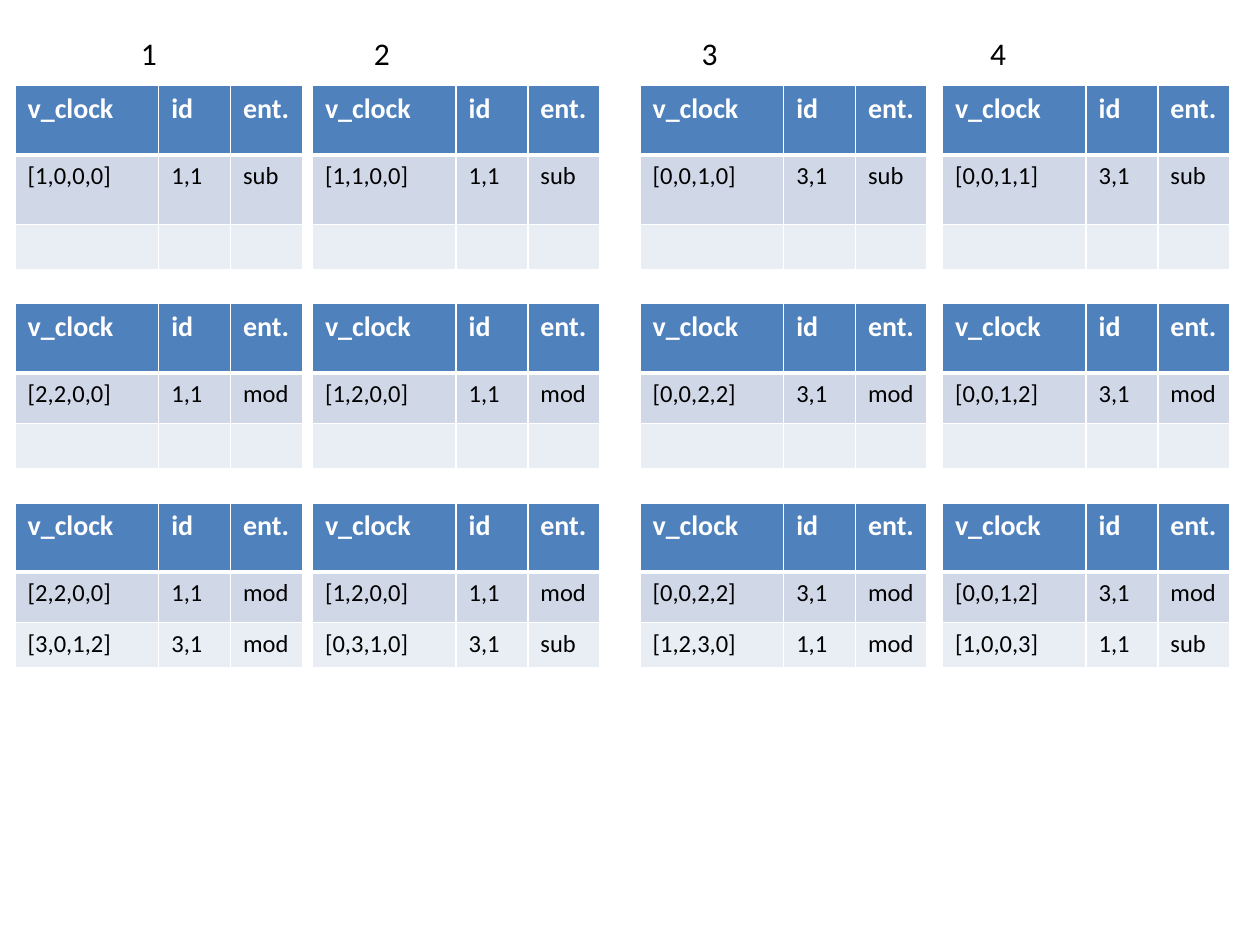
import pptx
import pptx.dml.color
import pptx.util
from lxml import etree
from pptx.oxml.ns import qn

FONT = "Calibri"
WHITE, BLACK = "FFFFFF", "000000"
ROW_FILLS = ["4F81BD", "D0D8E8", "E9EDF4"]
HEADER = ["v_clock", "id", "ent."]
UNIT = 0.57
COL_WIDTHS = [2 * UNIT, UNIT, UNIT]
HEADER_H, LAST_H = 0.55, 0.36

NODE_LEFTS = [0.12, 2.48, 5.08, 7.48]
LABEL_OFFSETS = [0.9, 0.39, 0.39, 0.28]

# Each stage: top, height of its first data row, then the data rows of nodes 1 to 4.
STAGES = [
    (0.68, 0.55, [["[1,0,0,0] 1,1 sub"], ["[1,1,0,0] 1,1 sub"],
                  ["[0,0,1,0] 3,1 sub"], ["[0,0,1,1] 3,1 sub"]]),
    (2.41, 0.4, [["[2,2,0,0] 1,1 mod"], ["[1,2,0,0] 1,1 mod"],
                 ["[0,0,2,2] 3,1 mod"], ["[0,0,1,2] 3,1 mod"]]),
    (3.99, 0.4, [["[2,2,0,0] 1,1 mod", "[3,0,1,2] 3,1 mod"],
                 ["[1,2,0,0] 1,1 mod", "[0,3,1,0] 3,1 sub"],
                 ["[0,0,2,2] 3,1 mod", "[1,2,3,0] 1,1 mod"],
                 ["[0,0,1,2] 3,1 mod", "[1,0,0,3] 1,1 sub"]]),
]


def inches(*values):
    """Convert several lengths in inches."""
    return [pptx.util.Inches(v) for v in values]


def color(value):
    """Turn a hex string into a colour."""
    return pptx.dml.color.RGBColor.from_string(value)


def write(tf, text, size=14, fill=BLACK, bold=False):
    """Write one formatted line; an empty line keeps only its size."""
    p = tf.paragraphs[0]
    if not text:
        end = etree.SubElement(p._p, qn("a:endParaRPr"))
        end.set("sz", str(size * 100))
        return
    r = p.add_run()
    r.text = text
    r.font.name = FONT
    r.font.size = pptx.util.Pt(size)
    r.font.bold = bold
    r.font.color.rgb = color(fill)


def set_borders(cell, top=1, bottom=1):
    """Give a cell white borders with the given widths in points."""
    tc_pr = cell._tc.get_or_add_tcPr()
    widths = {"lnL": 1, "lnR": 1, "lnT": top, "lnB": bottom}
    for i, (tag, width) in enumerate(widths.items()):
        ln = etree.Element(qn("a:" + tag), w=str(pptx.util.Pt(width)))
        fill = etree.SubElement(ln, qn("a:solidFill"))
        etree.SubElement(fill, qn("a:srgbClr"), val=WHITE)
        tc_pr.insert(i, ln)


def add_label(s, left, text):
    """Add the number above a node's column of tables."""
    tf = s.shapes.add_textbox(*inches(left, 0.22, 0.87, 0.4)).text_frame
    tf.word_wrap = True
    write(tf, text, size=18)


def add_clock_table(s, left, top, first_h, entries):
    """Add one node's table: a header and two data rows."""
    heights = [HEADER_H, first_h, LAST_H]
    rows = [HEADER] + [entry.split() for entry in entries]
    rows += [[""] * len(HEADER)] * (len(heights) - len(rows))
    box = inches(left, top, sum(COL_WIDTHS), sum(heights))
    table = s.shapes.add_table(len(rows), len(HEADER), *box).table
    table.first_row = table.horz_banding = False
    for col, width in zip(table.columns, inches(*COL_WIDTHS)):
        col.width = width
    for i, (row, height) in enumerate(zip(table.rows, inches(*heights))):
        row.height = height
        style = dict(size=16, fill=WHITE, bold=True) if i == 0 else {}
        for cell, text in zip(row.cells, rows[i]):
            cell.fill.solid()
            cell.fill.fore_color.rgb = color(ROW_FILLS[i])
            set_borders(cell, top=3 if i == 1 else 1, bottom=3 if i == 0 else 1)
            write(cell.text_frame, text, **style)


def main():
    """Build the slide of vector clock tables and save it."""
    prs = pptx.Presentation()
    prs.slide_width, prs.slide_height = inches(10, 7.5)
    s = prs.slides.add_slide(prs.slide_layouts[6])
    for i, (left, offset) in enumerate(zip(NODE_LEFTS, LABEL_OFFSETS), 1):
        add_label(s, left + offset, str(i))
    for top, first_h, nodes in STAGES:
        for left, entries in zip(NODE_LEFTS, nodes):
            add_clock_table(s, left, top, first_h, entries)
    prs.save("out.pptx")


main()
